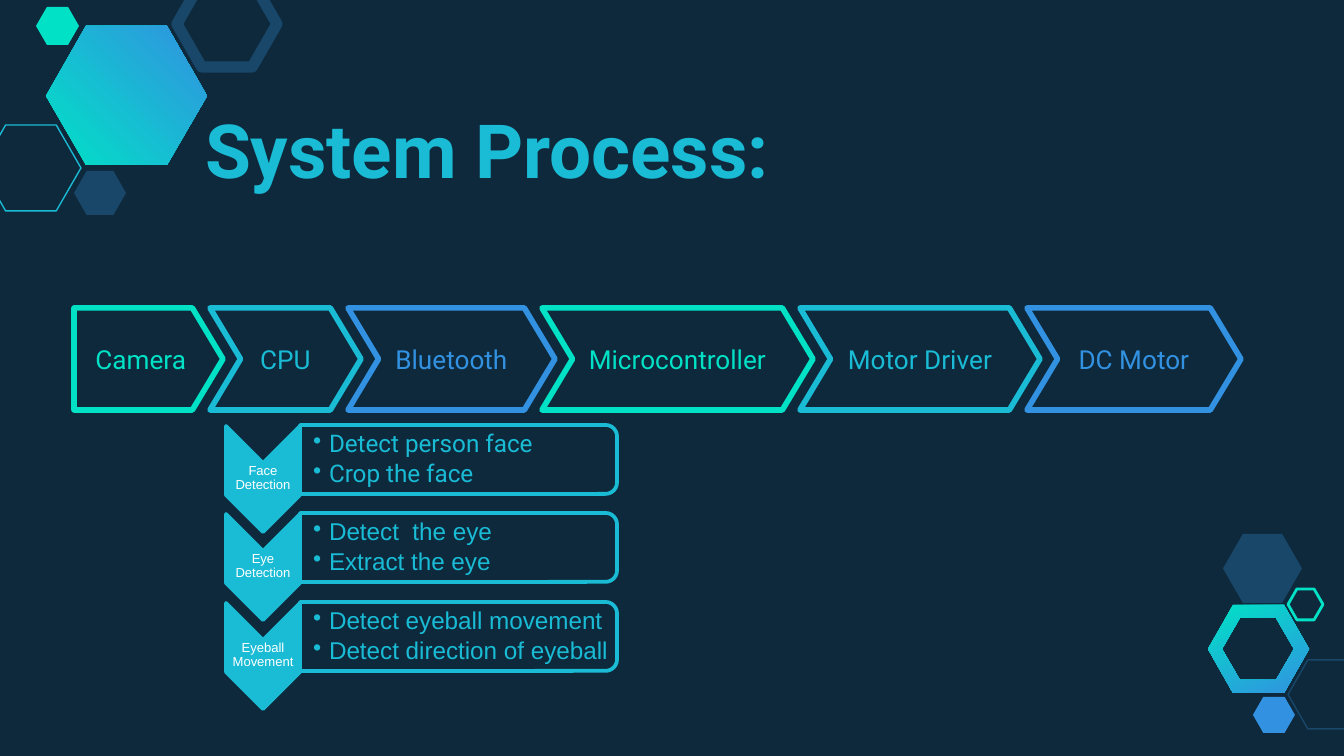
"""Build the System Process slide: a process row with the CPU stages below it."""
from dataclasses import dataclass
from typing import Any, Optional

from lxml import etree
from pptx import Presentation
from pptx.dml.color import RGBColor
from pptx.enum.shapes import MSO_SHAPE
from pptx.enum.text import MSO_ANCHOR, MSO_AUTO_SIZE, PP_ALIGN
from pptx.oxml.ns import qn
from pptx.util import Emu, Pt

SCALE = 914400 / 134.4
SLANT = 0.287
OVERLAP = 13

NAVY = RGBColor(0x0E, 0x29, 0x3C)
STEEL = RGBColor(0x18, 0x47, 0x69)
MINT = RGBColor(0x00, 0xE1, 0xC6)
CYAN = RGBColor(0x19, 0xBB, 0xD5)
BLUE = RGBColor(0x32, 0x92, 0xE1)
WHITE = RGBColor(0xFF, 0xFF, 0xFF)

HEXAGON, PLATE = MSO_SHAPE.HEXAGON, MSO_SHAPE.PENTAGON
CHEVRON, ROUNDED = MSO_SHAPE.CHEVRON, MSO_SHAPE.ROUND_2_SAME_RECTANGLE
TOP, MIDDLE = MSO_ANCHOR.TOP, MSO_ANCHOR.MIDDLE
LEFT, CENTER = PP_ALIGN.LEFT, PP_ALIGN.CENTER
FIXED = MSO_AUTO_SIZE.NONE


@dataclass(frozen=True)
class Box:
    """A place on the slide in px."""
    x: int
    y: int
    w: int
    h: int

    def emu(self) -> tuple:
        return tuple(px(n) for n in (self.x, self.y, self.w, self.h))


@dataclass(frozen=True)
class Cell:
    """A plain hexagon, filled or outlined."""
    box: Box
    color: RGBColor
    line: Optional[float] = None


@dataclass(frozen=True)
class Step:
    """One arrow of the process row."""
    name: str
    width: int


@dataclass(frozen=True)
class Stage:
    """One stage of the CPU work."""
    name: str
    tasks: tuple
    font: str


CELLS = (
    Cell(Box(-19, 125, 100, 86), CYAN, 0.75),
    Cell(Box(74, 171, 52, 44), STEEL),
    Cell(Box(177, -19, 100, 86), STEEL, 6),
    Cell(Box(36, 7, 43, 38), MINT),
    Cell(Box(1288, 660, 79, 69), STEEL, 0.75),
    Cell(Box(1253, 697, 42, 36), BLUE),
    Cell(Box(1223, 534, 79, 69), STEEL),
    Cell(Box(1288, 589, 35, 31), MINT, 1.5),
)
STEPS = (
    Step("Camera", 149), Step("CPU", 151), Step("Bluetooth", 207),
    Step("Microcontroller", 271), Step("Motor Driver", 240), Step("DC Motor", 214),
)
STAGES = (
    Stage("Face Detection", ("Detect person face", "Crop the face"), "Roboto"),
    Stage("Eye Detection", ("Detect  the eye", "Extract the eye"), "Arial"),
    Stage("Eyeball Movement",
          ("Detect eyeball movement", "Detect direction of eyeball"), "Arial"),
)


def px(count: float) -> Emu:
    """Turn px into EMU."""
    return Emu(round(count * SCALE))


def apply(target: Any, values: dict) -> None:
    """Set each attribute named in the values."""
    for name, value in values.items():
        setattr(target, name, value)


def paint(shape: Any, fill: Optional[RGBColor], line: Optional[RGBColor],
          width: float = 0) -> None:
    """Give a shape its fill and outline."""
    shape.shadow.inherit = False
    if fill is None:
        shape.fill.background()
    else:
        shape.fill.solid()
        shape.fill.fore_color.rgb = fill
    if line is None:
        shape.line.fill.background()
    else:
        shape.line.color.rgb = line
        shape.line.width = Pt(width)


def write(shape: Any, lines: tuple, font: dict, color: RGBColor, para: dict,
          inset: tuple, anchor: Any = MIDDLE, bullet: bool = False) -> None:
    """Write paragraphs into a shape."""
    frame = shape.text_frame
    sides = ("margin_left", "margin_top", "margin_right", "margin_bottom")
    apply(frame, {"word_wrap": True, "auto_size": FIXED, "vertical_anchor": anchor,
                  **dict(zip(sides, map(px, inset)))})
    for i, text in enumerate(lines):
        item = frame.add_paragraph() if i else frame.paragraphs[0]
        item.text = text
        apply(item, para)
        if bullet:
            props = item._p.get_or_add_pPr()
            props.set("marL", str(px(16)))
            props.set("indent", str(px(-16)))
            etree.SubElement(props, qn("a:buChar")).set("char", "•")
        apply(item.font, font)
        item.font.color.rgb = color


def corners(box: Box) -> list:
    """List the six corners of a hexagon."""
    cut, right, base = round(box.h * SLANT), box.x + box.w, box.y + box.h
    mid = box.y + box.h / 2
    return [(box.x, mid), (box.x + cut, box.y), (right - cut, box.y),
            (right, mid), (right - cut, base), (box.x + cut, base)]


def draw_glow(shapes: Any, outer: Box, colors: tuple, angle: float,
              hole: Optional[Box] = None) -> Any:
    """Draw a gradient hexagon, with a hole if one is given."""
    points = corners(outer)
    pen = shapes.build_freeform(*points[0], scale=SCALE)
    pen.add_line_segments(points[1:])
    if hole:
        points = corners(hole)[::-1]
        pen.move_to(*points[0])
        pen.add_line_segments(points[1:])
    shape = pen.convert_to_shape()
    paint(shape, None, None)
    shape.fill.gradient()
    shape.fill.gradient_angle = angle
    for stop, color in zip(shape.fill.gradient_stops, colors):
        stop.color.rgb = color
    return shape


def make_round(shape: Any) -> None:
    """Let the gradient spread from the top right corner."""
    lin = shape._element.spPr.find(".//" + qn("a:lin"))
    ring = etree.Element(qn("a:path"), {"path": "circle"})
    etree.SubElement(ring, qn("a:fillToRect"), {"l": "100000", "b": "100000"})
    lin.getparent().replace(lin, ring)


def draw_cell(shapes: Any, cell: Cell) -> None:
    """Draw a plain hexagon."""
    shape = shapes.add_shape(HEXAGON, *cell.box.emu())
    shape.adjustments[0] = SLANT
    if cell.line:
        paint(shape, None, cell.color, cell.line)
    else:
        paint(shape, cell.color, None)


def draw_steps(shapes: Any) -> None:
    """Draw the process row."""
    left = 74
    for i, step in enumerate(STEPS):
        color = (MINT, CYAN, BLUE)[i % 3]
        shape = shapes.add_shape(CHEVRON if i else PLATE,
                                 *Box(left, 308, step.width, 102).emu())
        shape.adjustments[0] = 0.3
        paint(shape, None, color, 3)
        write(shape, (step.name,), {"size": Pt(14), "name": "Roboto"}, color,
              {"alignment": CENTER}, (13, 13, 13, 13))
        left += step.width - OVERLAP


def draw_stage(shapes: Any, stage: Stage, top: int) -> None:
    """Draw a stage arrow and its task list."""
    para = {"line_spacing": 0.9, "space_after": Pt(2)}
    arrow = shapes.add_shape(CHEVRON, *Box(210, top + 17, 106, 74).emu())
    paint(arrow, CYAN, CYAN, 2)
    label = shapes.add_textbox(*Box(226, top + 37, 74, 33).emu())
    write(label, (stage.name,), {"size": Pt(7), "name": "Arial"}, WHITE,
          {**para, "alignment": CENTER}, (0, 0, 0, 0))
    frame = shapes.add_shape(ROUNDED, *Box(424, top - 124, 69, 317).emu())
    paint(frame, None, CYAN, 2)
    arrow.rotation = frame.rotation = 90
    tasks = shapes.add_textbox(*Box(300, top + 4, 313, 62).emu())
    write(tasks, stage.tasks, {"size": Pt(13), "name": stage.font}, CYAN,
          {**para, "level": 1}, (13, 1, 1, 1), bullet=True)


def main() -> None:
    """Build and save the slide."""
    deck = Presentation()
    apply(deck, {"slide_width": px(1344), "slide_height": px(756)})
    slide = deck.slides.add_slide(deck.slide_layouts[5])
    slide.background.fill.solid()
    slide.background.fill.fore_color.rgb = NAVY
    shapes = slide.shapes
    draw_glow(shapes, Box(1208, 605, 101, 88), (MINT, BLUE), 296, Box(1222, 618, 72, 62))
    make_round(draw_glow(shapes, Box(46, 26, 161, 139), (BLUE, MINT), 45))
    for cell in CELLS:
        draw_cell(shapes, cell)
    title = shapes.title
    apply(title, dict(zip(("left", "top", "width", "height"), Box(192, 91, 727, 95).emu())))
    write(title, ("System Process:",), {"size": Pt(40), "name": "Roboto", "bold": True},
          CYAN, {"alignment": LEFT}, (13, 13, 13, 13), TOP)
    draw_steps(shapes)
    for i, stage in enumerate(STAGES):
        draw_stage(shapes, stage, 425 + 177 * i // 2)
    deck.save("out.pptx")


if __name__ == "__main__":
    main()
